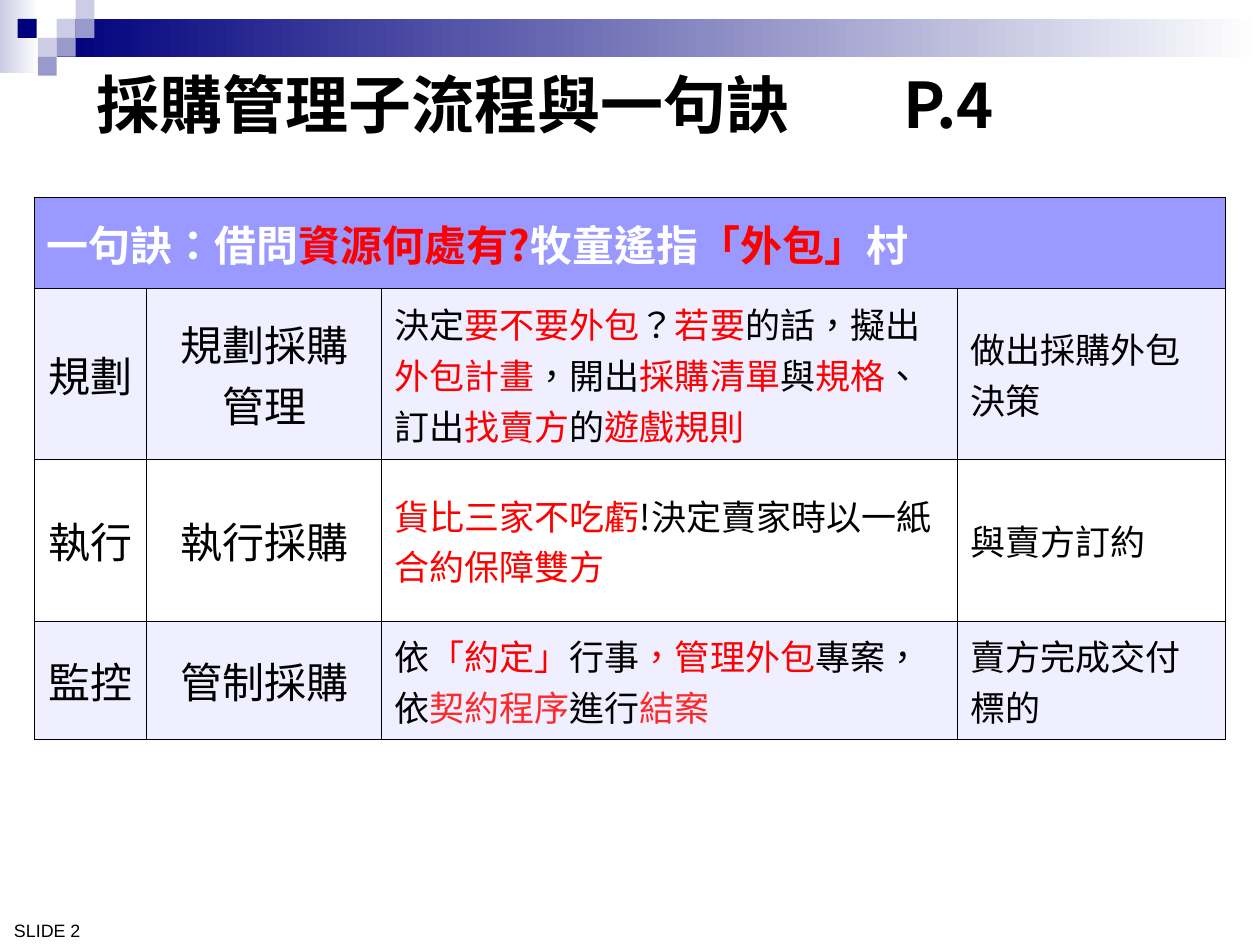
"""Build the procurement management slide with its mnemonic table."""
from dataclasses import dataclass

from lxml import etree
from pptx import Presentation
from pptx.dml.color import RGBColor
from pptx.enum.lang import MSO_LANGUAGE_ID
from pptx.enum.shapes import MSO_SHAPE
from pptx.enum.text import MSO_ANCHOR, PP_ALIGN
from pptx.oxml.ns import qn
from pptx.util import Pt

RECTANGLE = MSO_SHAPE.RECTANGLE
MIDDLE, BOTTOM = MSO_ANCHOR.MIDDLE, MSO_ANCHOR.BOTTOM
LEFT, CENTER = PP_ALIGN.LEFT, PP_ALIGN.CENTER
TRADITIONAL_CHINESE = MSO_LANGUAGE_ID.TRADITIONAL_CHINESE
COLORS = {
    "black": "000000", "white": "FFFFFF", "red": "FF0000", "coral": "FF2929",
    "navy": "00007D", "lilac": "CCCCE6", "mauve": "9999CC",
    "header": "9999FF", "band": "EFEFFF",
}
CJK_FONT = "Noto Sans CJK SC"
UNIT = 10.8
COLUMN_WIDTHS = (64.1, 134.6, 329, 153.3)
ROW_HEIGHTS = (52, 97.4, 92.6, 67.7)


@dataclass(frozen=True)
class Block:
    left: float
    top: float
    width: float
    height: float
    start: str
    end: str = ""


@dataclass(frozen=True)
class Span:
    text: str
    color: str = "black"


@dataclass(frozen=True)
class Style:
    size: float
    align: int = LEFT
    bold: bool = False
    font: str = CJK_FONT


@dataclass(frozen=True)
class Process:
    fill: str
    group: str
    names: tuple
    rule: tuple
    result: str


BLOCKS = (
    Block(0, 0, 22.3, 41.8, "lilac", "white"),
    Block(3 * UNIT, UNIT, 720 - 3 * UNIT, 2 * UNIT, "navy", "white"),
    Block(10.1, UNIT, UNIT, UNIT, "navy"),
) + tuple(
    Block(column * UNIT, row * UNIT, UNIT, UNIT, color)
    for column, row, color in (
        (3, 1, "lilac"), (4, 0, "lilac"), (4, 1, "mauve"),
        (2, 2, "lilac"), (3, 2, "mauve"), (2, 3, "mauve"),
    )
)
HEADER = (
    Span("一句訣：借問", "white"), Span("資源何處有?", "red"), Span("牧童遙指", "white"),
    Span("「外包」", "red"), Span("村", "white"),
)
PROCESSES = (
    Process("band", "規劃", ("規劃採購", "管理"), (
        Span("決定"), Span("要不要外包", "red"), Span("？"), Span("若要", "red"),
        Span("的話，擬出"), Span("外包計畫", "red"), Span("，開出"),
        Span("採購清單", "red"), Span("與"), Span("規格", "red"), Span("、訂出"),
        Span("找賣方", "red"), Span("的"), Span("遊戲規則", "red"),
    ), "做出採購外包決策"),
    Process("white", "執行", ("執行採購",), (
        Span("貨比三家不吃虧", "red"), Span("!決定賣家時以一紙"),
        Span("合約保障雙方", "red"),
    ), "與賣方訂約"),
    Process("band", "監控", ("管制採購",), (
        Span("依"), Span("「約定」", "red"), Span("行事"), Span("，管理外包", "red"),
        Span("專案，依"), Span("契約程序", "coral"), Span("進行"), Span("結案", "coral"),
    ), "賣方完成交付標的"),
)


def rgb(name: str) -> RGBColor:
    return RGBColor.from_string(COLORS[name])


def draw_block(slide, block: Block) -> None:
    shape = slide.shapes.add_shape(
        RECTANGLE, Pt(block.left), Pt(block.top), Pt(block.width), Pt(block.height))
    shape.shadow.inherit = False
    shape.line.fill.background()
    if block.end:
        shape.fill.gradient()
        shape.fill.gradient_angle = 0
        for stop, color in zip(shape.fill.gradient_stops, (block.start, block.end)):
            stop.color.rgb = rgb(color)
    else:
        shape.fill.solid()
        shape.fill.fore_color.rgb = rgb(block.start)


def write(text_frame, lines: tuple, style: Style, tab: float = 0) -> None:
    for index, spans in enumerate(lines):
        paragraph = text_frame.add_paragraph() if index else text_frame.paragraphs[0]
        paragraph.alignment = style.align
        if tab:
            properties = paragraph._p.get_or_add_pPr()
            stops = etree.SubElement(properties, qn("a:tabLst"))
            etree.SubElement(stops, qn("a:tab"), pos=str(Pt(tab)), algn="l")
        font = paragraph.font
        font.size, font.bold, font.name = Pt(style.size), style.bold, style.font
        latin = font._element.find(qn("a:latin"))
        latin.addnext(etree.Element(qn("a:ea"), typeface=style.font))
        for span in spans:
            run = paragraph.add_run()
            run.text = span.text
            run.font.color.rgb = rgb(span.color)
            run.font.language_id = TRADITIONAL_CHINESE


def add_text(slide, box: tuple, anchor: int, text: str, style: Style, tab: float = 0) -> None:
    text_frame = slide.shapes.add_textbox(*map(Pt, box)).text_frame
    text_frame.word_wrap = True
    text_frame.vertical_anchor = anchor
    write(text_frame, ((Span(text),),), style, tab)


def style_cell(cell, fill: str) -> None:
    properties = cell._tc.get_or_add_tcPr()
    for side in ("lnL", "lnR", "lnT", "lnB"):
        line = etree.SubElement(properties, qn(f"a:{side}"), w=str(Pt(0.45)))
        solid = etree.SubElement(line, qn("a:solidFill"))
        etree.SubElement(solid, qn("a:srgbClr"), val=COLORS["black"])
    cell.fill.solid()
    cell.fill.fore_color.rgb = rgb(fill)
    cell.vertical_anchor = MIDDLE


def draw_table(slide) -> None:
    table = slide.shapes.add_table(
        len(ROW_HEIGHTS), len(COLUMN_WIDTHS), Pt(19.5), Pt(113),
        Pt(sum(COLUMN_WIDTHS)), Pt(sum(ROW_HEIGHTS))).table
    table.first_row = table.horz_banding = False
    for column, width in zip(table.columns, COLUMN_WIDTHS):
        column.width = Pt(width)
    fills = ("header",) + tuple(process.fill for process in PROCESSES)
    for row, height, fill in zip(table.rows, ROW_HEIGHTS, fills):
        row.height = Pt(height)
        for cell in row.cells:
            style_cell(cell, fill)
    table.cell(0, 0).merge(table.cell(0, len(COLUMN_WIDTHS) - 1))
    write(table.cell(0, 0).text_frame, (HEADER,), Style(24, bold=True))
    label, body = Style(24, CENTER), Style(20)
    for row, process in enumerate(PROCESSES, start=1):
        contents = (
            (((Span(process.group),),), label),
            (tuple((Span(name),) for name in process.names), label),
            ((process.rule,), body),
            (((Span(process.result),),), body),
        )
        for column, (lines, style) in enumerate(contents):
            write(table.cell(row, column).text_frame, lines, style)


def main() -> None:
    presentation = Presentation()
    presentation.slide_width, presentation.slide_height = Pt(720), Pt(540)
    slide = presentation.slides.add_slide(presentation.slide_layouts[6])
    for block in BLOCKS:
        draw_block(slide, block)
    add_text(slide, (48.2, 20.2, 642.2, 77.8), MIDDLE,
             "採購管理子流程與一句訣\tP.4", Style(36, bold=True), tab=461)
    draw_table(slide)
    add_text(slide, (-2.9, 521.3, 59.8, 20.2), BOTTOM,
             "SLIDE 2", Style(10.2, CENTER, font="Arial"))
    presentation.save("out.pptx")


if __name__ == "__main__":
    main()
